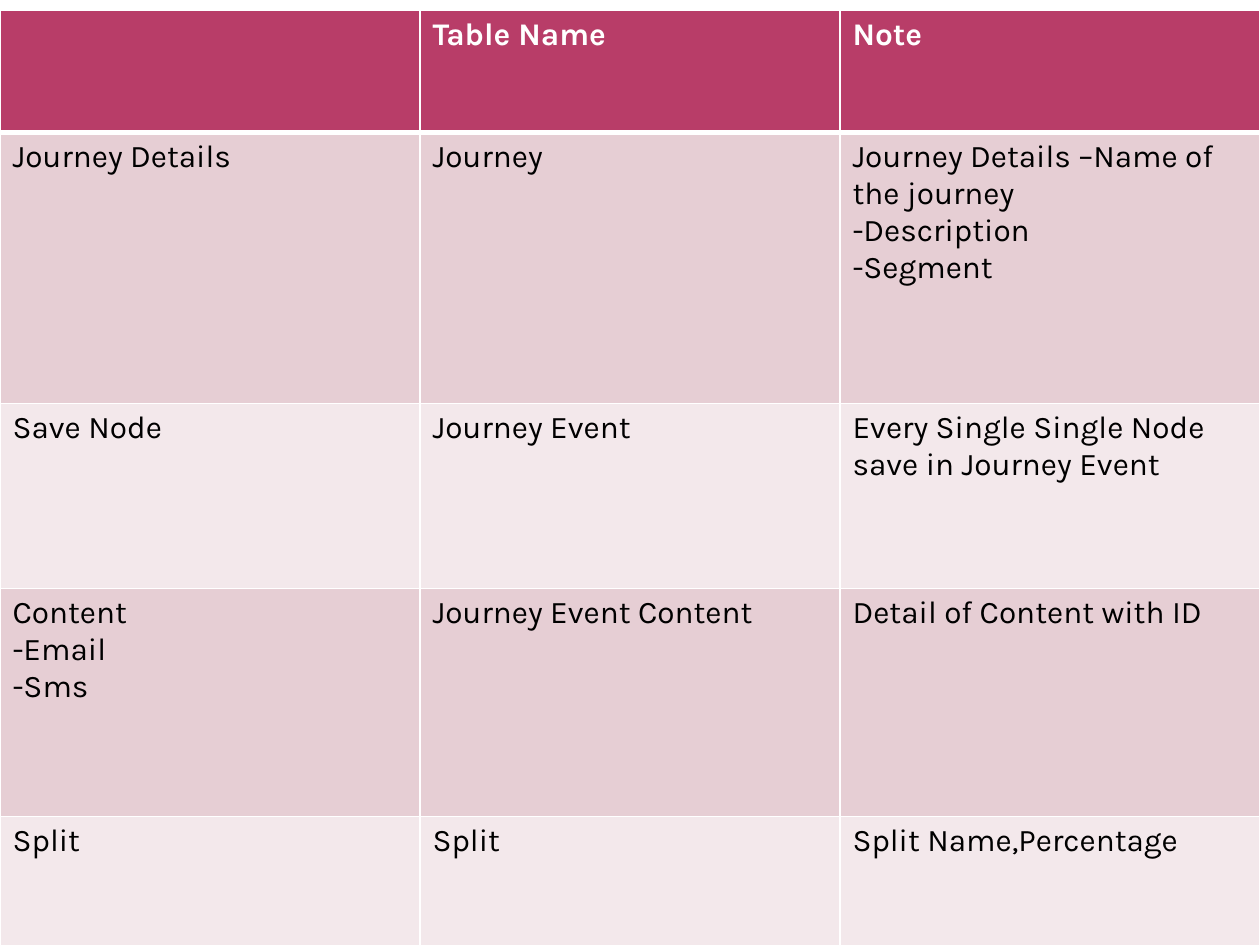
from lxml import etree
from pptx import Presentation
from pptx.dml.color import RGBColor
from pptx.oxml import ns
from pptx.util import Pt

COLORS = {"header": "B83D68", "odd": "E6CED4", "even": "F3E8EB",
          "white": "FFFFFF", "black": "000000"}
ROW_HEIGHTS = [69.8, 154.8, 105.8, 130.3, 73.5]
ENTRIES = [
    ["", "Table Name", "Note"],
    ["Journey Details", "Journey",
     "Journey Details –Name of the journey\n-Description\n-Segment"],
    ["Save Node", "Journey Event", "Every Single Single Node save in Journey Event"],
    ["Content\n-Email\n-Sms", "Journey Event Content", "Detail of Content with ID"],
    ["Split", "Split", "Split Name,Percentage"],
]


def add_border(cell, side, width):
    line = etree.SubElement(cell._tc.get_or_add_tcPr(), ns.qn(f"a:ln{side}"), w=str(Pt(width)))
    fill = etree.SubElement(line, ns.qn("a:solidFill"))
    etree.SubElement(fill, ns.qn("a:srgbClr"), val=COLORS["white"])


def write_entry(cell, entry, color, bold):
    for index, wording in enumerate(entry.split("\n")):
        frame = cell.text_frame
        paragraph = frame.add_paragraph() if index else frame.paragraphs[0]
        run = paragraph.add_run()
        run.text = wording
        run.font.name = "Karla"
        run.font.size = Pt(18)
        run.font.bold = bold
        run.font.color.rgb = RGBColor.from_string(COLORS[color])


deck = Presentation()
deck.slide_width, deck.slide_height = Pt(720), Pt(540)
slide = deck.slides.add_slide(deck.slide_layouts[6])

journey_tables = slide.shapes.add_table(
    len(ENTRIES), 3, Pt(0), Pt(6), Pt(720), Pt(sum(ROW_HEIGHTS))).table
for column in journey_tables.columns:
    column.width = Pt(240)

for row_index, (height, entries) in enumerate(zip(ROW_HEIGHTS, ENTRIES)):
    journey_tables.rows[row_index].height = Pt(height)
    is_header = row_index == 0
    band = "header" if is_header else "odd" if row_index % 2 else "even"
    for column_index, entry in enumerate(entries):
        cell = journey_tables.cell(row_index, column_index)
        for side in "LRTB":
            heavy = (row_index, side) in [(0, "B"), (1, "T")]
            add_border(cell, side, 3 if heavy else 1)
        cell.fill.solid()
        cell.fill.fore_color.rgb = RGBColor.from_string(COLORS[band])
        if entry:
            write_entry(cell, entry, "white" if is_header else "black", is_header)

deck.save("out.pptx")
